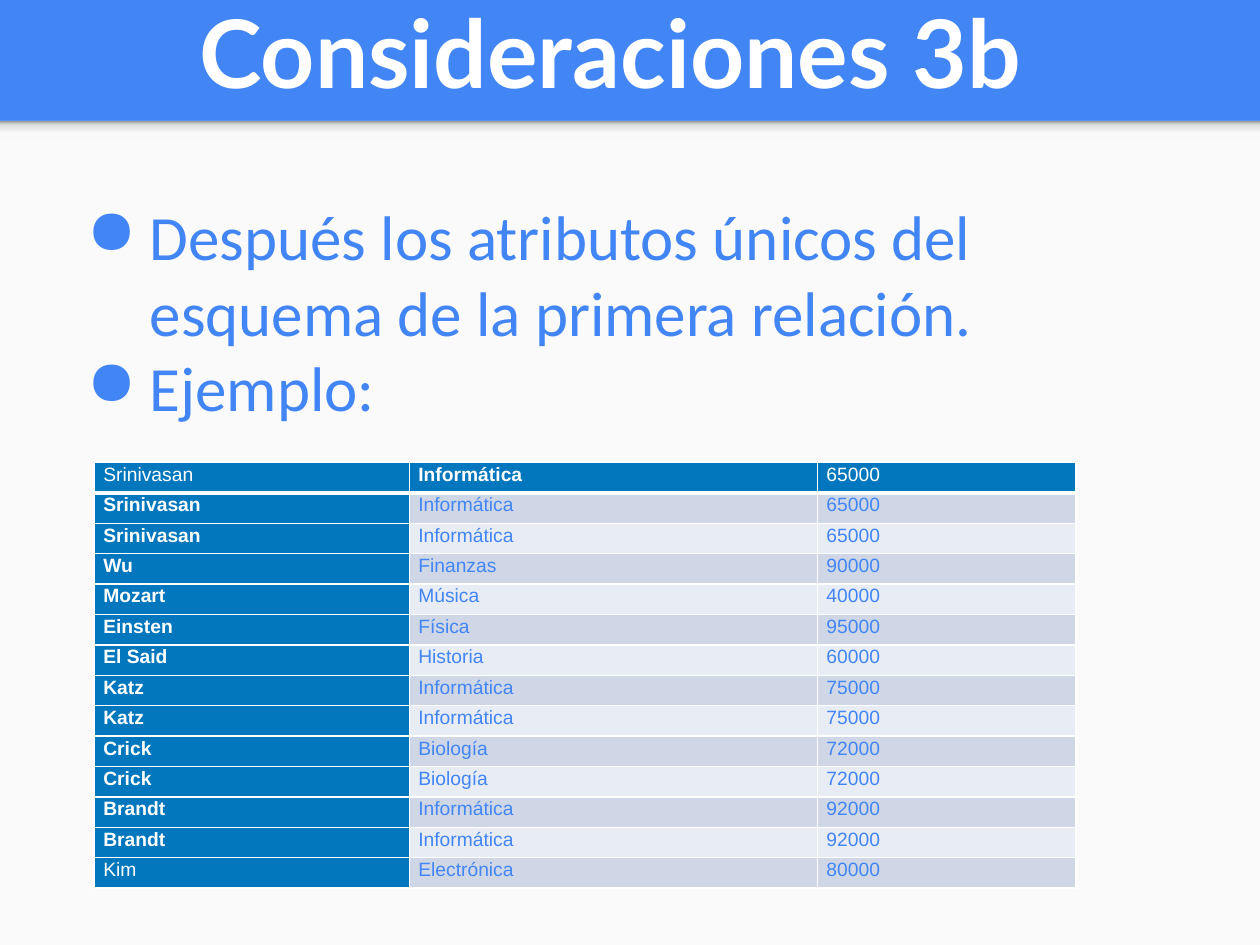
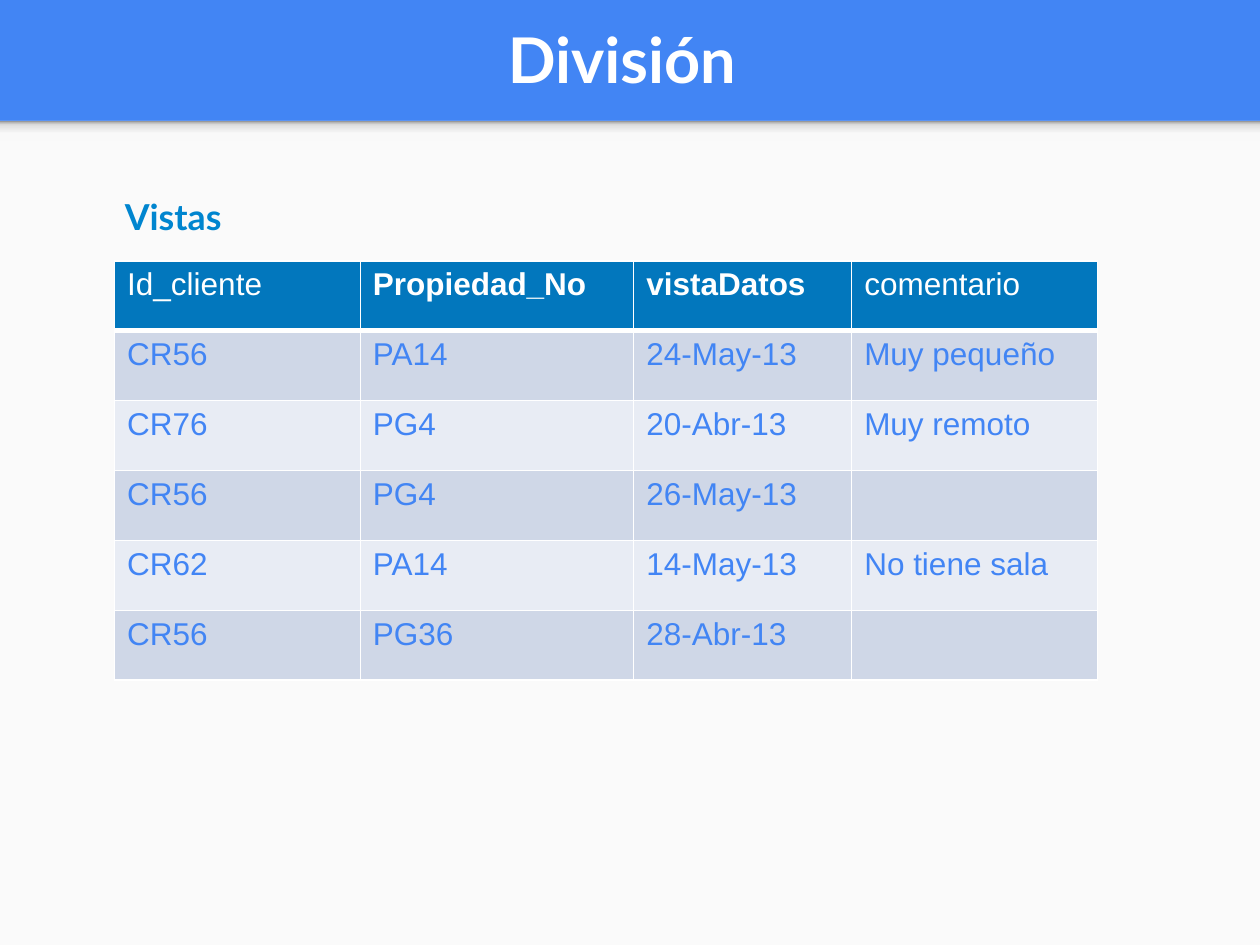
from lxml import etree
from pptx import Presentation
from pptx.dml.color import RGBColor
from pptx.enum import shapes, text
from pptx.oxml import ns
from pptx.util import Inches, Pt

BLUE, HEADER, ACCENT = "4285F4", "0277BD", "0085CF"
WHITE, PAPER = "FFFFFF", "FAFAFA"
ROW_FILLS = ("E8ECF4", "CFD7E7")
SHADOW_STOPS = ((0, "F9F9F9"), (36, "F9F9F9"), (80, "DEDEDE"), (100, "999999"))
WIDTH, HEIGHT, BAND = 10, 7.5, 0.96

SALARIES = [
    ("Srinivasan", "Informática", "65000"),
    ("Srinivasan", "Informática", "65000"),
    ("Srinivasan", "Informática", "65000"),
    ("Wu", "Finanzas", "90000"),
    ("Mozart", "Música", "40000"),
    ("Einsten", "Física", "95000"),
    ("El Said", "Historia", "60000"),
    ("Katz", "Informática", "75000"),
    ("Katz", "Informática", "75000"),
    ("Crick", "Biología", "72000"),
    ("Crick", "Biología", "72000"),
    ("Brandt", "Informática", "92000"),
    ("Brandt", "Informática", "92000"),
    ("Kim", "Electrónica", "80000"),
]
VIEWINGS = [
    ("Id_cliente", "Propiedad_No", "vistaDatos", "comentario"),
    ("CR56", "PA14", "24-May-13", "Muy pequeño"),
    ("CR76", "PG4", "20-Abr-13", "Muy remoto"),
    ("CR56", "PG4", "26-May-13", ""),
    ("CR62", "PA14", "14-May-13", "No tiene sala"),
    ("CR56", "PG36", "28-Abr-13", ""),
]


def color(value):
    return RGBColor.from_string(value)


def inches(box):
    return [Inches(length) for length in box]


def xml_child(parent, tag, **attributes):
    return etree.SubElement(parent, ns.qn(tag), attributes)


def solid_color(parent, value):
    xml_child(xml_child(parent, "a:solidFill"), "a:srgbClr", val=value)


def format_runs(paragraph, size, font, hue, bold=False):
    for run in paragraph.runs:
        run.font.size, run.font.name, run.font.bold = Pt(size), font, bold
        run.font.color.rgb = color(hue)


def add_text(slide, box, lines, size, font, hue, bold=False,
             anchor=text.MSO_ANCHOR.TOP, align=None, spacing=None):
    frame = slide.shapes.add_textbox(*inches(box)).text_frame
    frame.word_wrap, frame.vertical_anchor = True, anchor
    frame.text = "\n".join(lines)
    for paragraph in frame.paragraphs:
        paragraph.alignment, paragraph.line_spacing = align, spacing
        format_runs(paragraph, size, font, hue, bold)
    return frame


def add_panel(slide, box):
    panel = slide.shapes.add_shape(shapes.MSO_SHAPE.RECTANGLE, *inches(box))
    panel.shadow.inherit = False
    panel.line.fill.background()
    return panel


def add_base(prs, title, size, anchor):
    """Blue band with title, pale body and the soft edge between them."""
    slide = prs.slides.add_slide(prs.slide_layouts[6])
    backdrop = slide.background.fill
    backdrop.solid()
    backdrop.fore_color.rgb = color(BLUE)

    body = add_panel(slide, (0, BAND, WIDTH, HEIGHT - BAND))
    body.fill.solid()
    body.fill.fore_color.rgb = color(PAPER)

    edge = add_panel(slide, (0, BAND, WIDTH, 0.16))
    edge.fill.gradient()
    edge.fill.gradient_angle = 90
    stops = edge.fill.gradient_stops[0]._gs.getparent()
    for stop in list(stops):
        stops.remove(stop)
    for position, hue in SHADOW_STOPS:
        stop = xml_child(stops, "a:gs", pos=str(position * 1000))
        xml_child(stop, "a:srgbClr", val=hue)

    add_text(slide, (0.11, 0.02, 9.65, 0.88), [title], size, "Lato", WHITE,
             True, anchor, text.PP_ALIGN.CENTER)
    return slide


def add_bullets(slide, box, lines):
    frame = add_text(slide, box, lines, 36, "Calibri", BLUE)
    for paragraph in frame.paragraphs:
        properties = paragraph._p.get_or_add_pPr()
        properties.set("marL", str(Inches(0.5)))
        properties.set("indent", str(Inches(-0.5)))
        xml_child(xml_child(properties, "a:buClr"), "a:srgbClr", val=BLUE)
        xml_child(properties, "a:buChar", char="●")


def set_borders(cell, top, bottom):
    properties = cell._tc.get_or_add_tcPr()
    sides = (("a:lnL", 1), ("a:lnR", 1), ("a:lnT", top), ("a:lnB", bottom))
    for index, (tag, width) in enumerate(sides):
        border = xml_child(properties, tag, w=str(Pt(width)))
        solid_color(border, WHITE)
        properties.insert(index, border)


def add_data_table(slide, box, rows, widths, size, label_column=False,
                   inset=(0.1, 0.05), spacing=None):
    """Banded table; corner labels stay regular, other labels are bold."""
    height = Inches(box[3])
    table = slide.shapes.add_table(len(rows), len(widths), *inches(box)).table
    table.first_row = table.horz_banding = False
    for column, width in zip(table.columns, widths):
        column.width = Inches(width)
    for r, record in enumerate(rows):
        table.rows[r].height = height // len(rows)
        for c, value in enumerate(record):
            cell = table.cell(r, c)
            label = r == 0 or (label_column and c == 0)
            corner = r in (0, len(rows) - 1) and c in (0, len(widths) - 1)
            cell.margin_left = cell.margin_right = Inches(inset[0])
            cell.margin_top = cell.margin_bottom = Inches(inset[1])
            cell.fill.solid()
            cell.fill.fore_color.rgb = color(HEADER if label else ROW_FILLS[r % 2])
            set_borders(cell, 3 if r == 1 else 1, 3 if r == 0 else 1)
            cell.text_frame.text = value
            paragraph = cell.text_frame.paragraphs[0]
            paragraph.line_spacing = spacing
            format_runs(paragraph, size, "Arial", WHITE if label else BLUE,
                        label and not corner)


def build_considerations(prs):
    slide = add_base(prs, "Consideraciones 3b ", 54, text.MSO_ANCHOR.BOTTOM)
    add_bullets(slide, (0.59, 1.52, 8.03, 1.93), [
        "Después los atributos únicos del esquema de la primera relación.",
        "Ejemplo:",
    ])
    add_data_table(slide, (0.75, 3.67, 7.79, 3.38), SALARIES,
                   (2.5, 3.24, 2.05), 11, True, (0.07, 0), 1.07)


def build_division(prs):
    slide = add_base(prs, "División", 36, text.MSO_ANCHOR.MIDDLE)
    add_text(slide, (0.51, 1.55, 1.73, 0.39), ["Vistas"], 20.4, "Lato", ACCENT,
             True, text.MSO_ANCHOR.MIDDLE, text.PP_ALIGN.CENTER, 0.8)
    add_data_table(slide, (0.91, 2.07, 7.8, 3.33), VIEWINGS,
                   (1.95, 2.17, 1.73, 1.95), 18)


def main():
    prs = Presentation()
    prs.slide_width, prs.slide_height = Inches(WIDTH), Inches(HEIGHT)
    build_considerations(prs)
    build_division(prs)
    prs.save("out.pptx")


if __name__ == "__main__":
    main()
